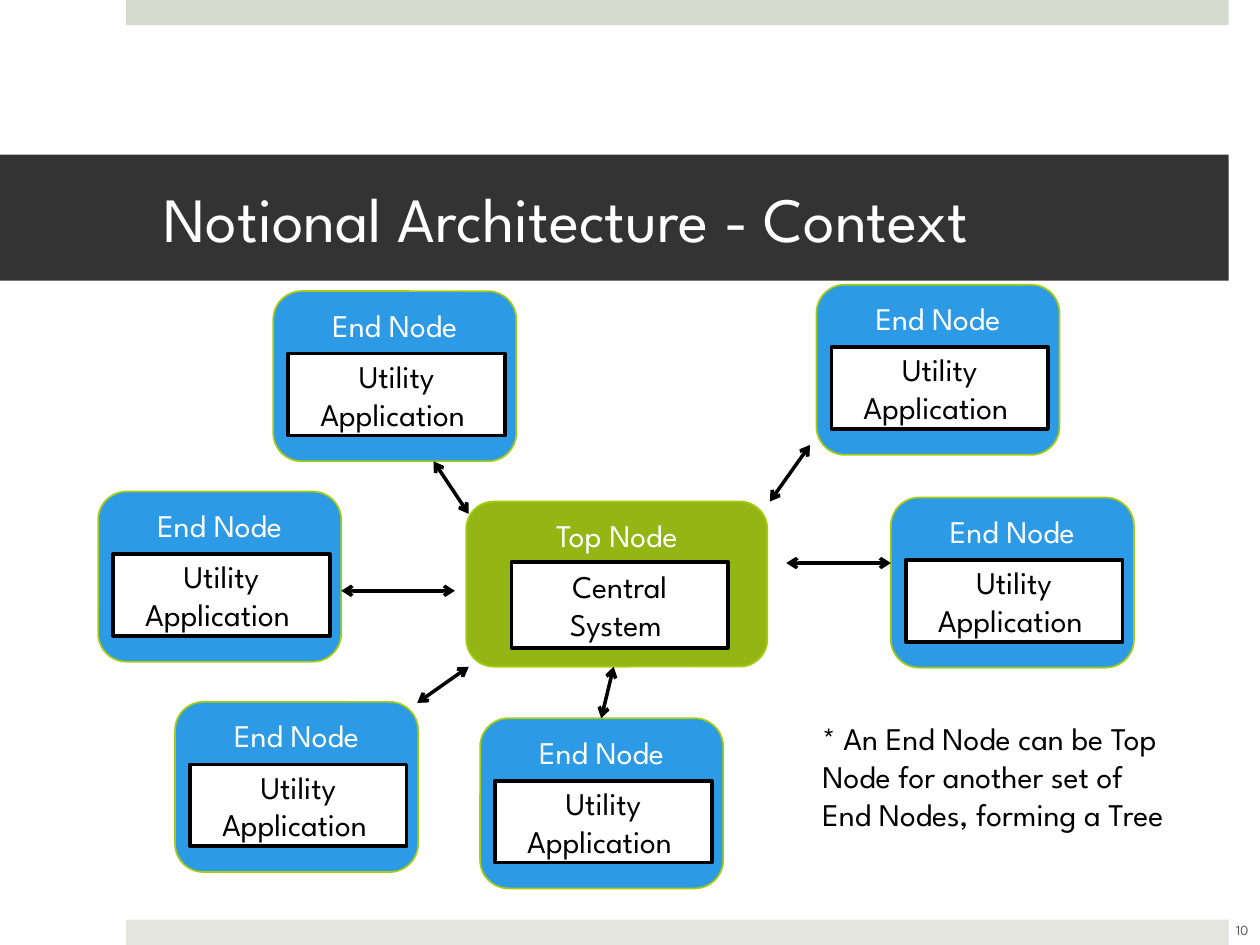
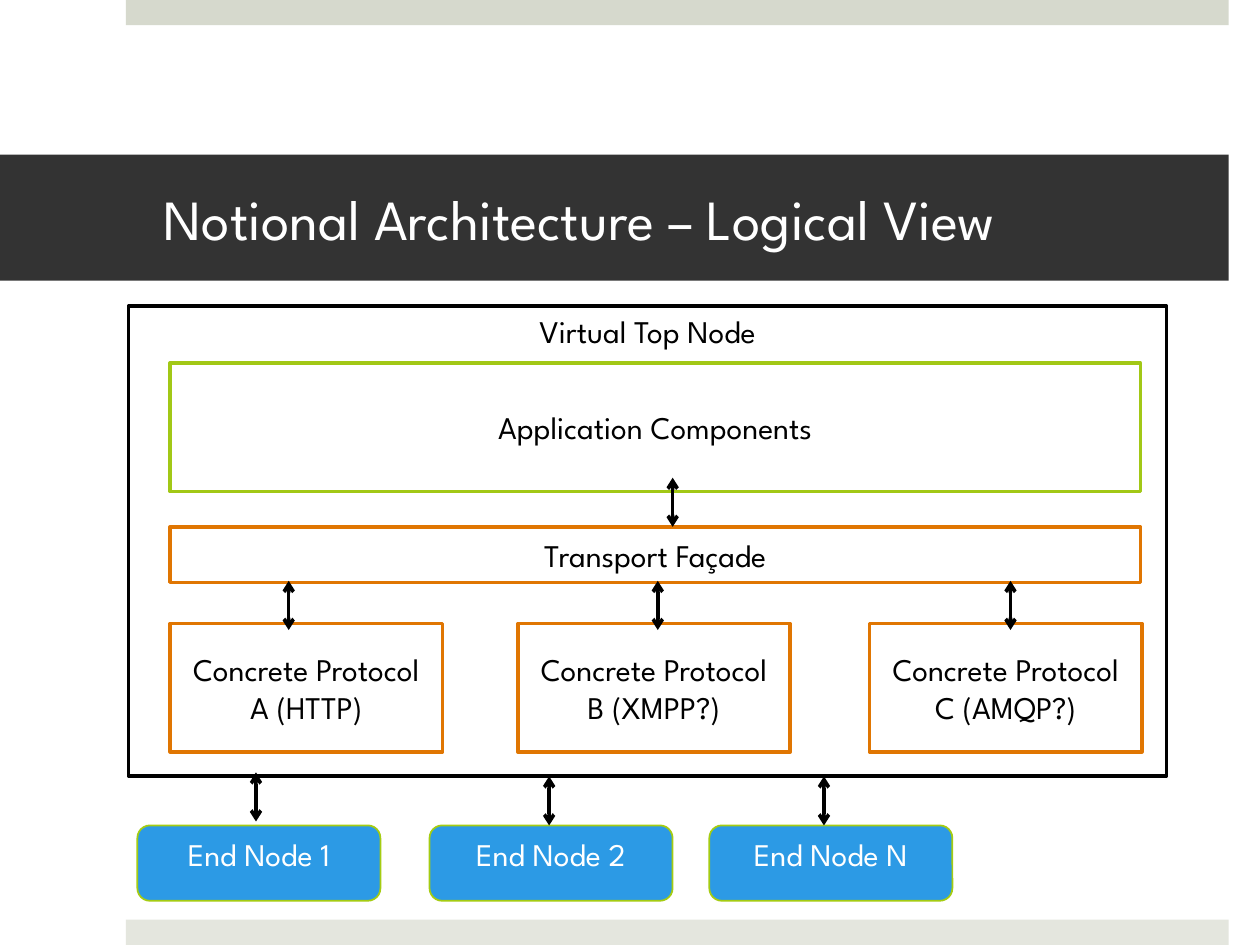
from dataclasses import dataclass

from lxml import etree
from pptx import Presentation
from pptx import util as u
from pptx.dml.color import RGBColor
from pptx.enum import shapes, text
from pptx.oxml import ns

RECT = shapes.MSO_SHAPE.RECTANGLE
ROUND = shapes.MSO_SHAPE.ROUNDED_RECTANGLE
TOP, MIDDLE = text.MSO_ANCHOR.TOP, text.MSO_ANCHOR.MIDDLE
LEFT, CENTER = text.PP_ALIGN.LEFT, text.PP_ALIGN.CENTER


@dataclass(frozen=True)
class Theme:
    font: str = "League Spartan"
    white: str = "FFFFFF"
    black: str = "000000"
    title_band: str = "333333"
    top_band: str = "D6D9CD"
    bottom_band: str = "E4E6DE"
    number: str = "595959"
    blue: str = "2C9AE5"
    green: str = "93B614"
    node_edge: str = "A5CC12"
    app_edge: str = "A2C816"
    transport_edge: str = "E07602"
    body_size: float = 18
    number_size: float = 8
    thin: float = 1
    thick: float = 2


T = Theme()
NODE_W, NODE_H = 4.9, 3.43
INNER_W, INNER_H = 4.37, 1.65


def cm(*lengths):
    return [u.Cm(n) for n in lengths]


def write(sp, lines, color, size=T.body_size, align=CENTER, **frame):
    """Put one paragraph per line into a shape; frame holds text frame settings."""
    tf = sp.text_frame
    for name, value in {"word_wrap": True, **frame}.items():
        setattr(tf, name, value)
    for i, line in enumerate(lines.split("\n")):
        p = tf.paragraphs[0] if i == 0 else tf.add_paragraph()
        p.alignment = align
        r = p.add_run()
        r.text = line
        for name, value in {"name": T.font, "size": u.Pt(size)}.items():
            setattr(r.font, name, value)
        r.font.color.rgb = RGBColor.from_string(color)


def add_block(slide, kind, at, fill, edge=None, weight=T.thick):
    sp = slide.shapes.add_shape(kind, *cm(*at))
    sp.shadow.inherit = False
    sp.fill.solid()
    sp.fill.fore_color.rgb = RGBColor.from_string(fill)
    if edge:
        sp.line.color.rgb = RGBColor.from_string(edge)
        sp.line.width = u.Pt(weight)
    else:
        sp.line.fill.background()
    return sp


def add_box(slide, at, label, edge=T.black, anchor=MIDDLE):
    """White rectangle with black text."""
    sp = add_block(slide, RECT, at, T.white, edge)
    write(sp, label, T.black, vertical_anchor=anchor)


def add_node(slide, at, label, fill=T.blue):
    sp = add_block(slide, ROUND, at, fill, T.node_edge, T.thin)
    write(sp, label, T.white, vertical_anchor=TOP)


def add_end_node(slide, x, y):
    """End node with its utility application inside."""
    add_node(slide, (x, y, NODE_W, NODE_H), "End Node")
    add_box(slide, (x + 0.3, y + 1.26, INNER_W, INNER_H), "Utility Application ")


def add_arrow(slide, x1, y1, x2, y2):
    """Line with an arrowhead at both ends."""
    cx = slide.shapes.add_connector(shapes.MSO_CONNECTOR.STRAIGHT, *cm(x1, y1, x2, y2))
    cx.line.color.rgb = RGBColor.from_string(T.black)
    cx.line.width = u.Pt(T.thick)
    ln = cx.line._get_or_add_ln()
    for end in ("a:headEnd", "a:tailEnd"):
        etree.SubElement(ln, ns.qn(end), type="arrow")
    etree.SubElement(cx._element.spPr, ns.qn("a:effectLst"))


def add_text(slide, at, lines, color, **style):
    write(slide.shapes.add_textbox(*cm(*at)), lines, color, **style)


def add_slide(prs, title, title_size):
    """Blank slide with the shared bands and title."""
    slide = prs.slides.add_slide(prs.slide_layouts[6])
    for y, fill in ((0, T.top_band), (18.54, T.bottom_band)):
        add_block(slide, RECT, (2.54, y, 22.23, 0.51), fill)
    band = add_block(slide, RECT, (0, 3.12, 24.77, 2.54), T.title_band)
    write(band, title, T.white, title_size, LEFT, vertical_anchor=MIDDLE,
          margin_left=u.Cm(3.3), margin_right=u.Cm(0.76))
    return slide


def build_context(prs):
    slide = add_slide(prs, "Notional Architecture - Context", 36)
    add_text(slide, (24.69, 18.24, 0.71, 1.02), "10", T.number, size=T.number_size,
             vertical_anchor=MIDDLE, margin_left=0, margin_right=0)

    add_node(slide, (9.4, 10.11, 6.07, 3.33), "Top Node", T.green)
    add_box(slide, (10.31, 11.33, INNER_W, 1.73), "Central System ")
    for x, y in ((5.51, 5.87), (16.46, 5.74), (17.96, 10.03),
                 (9.68, 14.48), (3.53, 14.15), (1.98, 9.91)):
        add_end_node(slide, x, y)

    for ends in ((8.74, 9.3, 9.45, 10.36), (8.41, 14.17, 9.45, 13.44),
                 (12.37, 13.44, 12.12, 14.48), (15.85, 11.35, 17.96, 11.35),
                 (6.88, 11.91, 9.17, 11.91), (16.33, 8.97, 15.52, 10.11)):
        add_arrow(slide, *ends)

    add_text(slide, (16.33, 14.38, 8.84, 2.57),
             "* An End Node can be Top\nNode for another set of\nEnd Nodes, forming a Tree",
             T.black, align=LEFT, word_wrap=False)


def build_logical_view(prs):
    slide = add_slide(prs, "Notional Architecture – Logical View", 32.4)
    add_box(slide, (2.59, 6.17, 20.93, 9.47), "Virtual Top Node", anchor=TOP)
    layer_x, layer_w = 3.43, 19.56
    add_box(slide, (layer_x, 7.32, layer_w, 2.59), "Application Components", T.app_edge)
    add_box(slide, (layer_x, 10.62, layer_w, 1.12), "Transport Façade", T.transport_edge)

    for x, name in ((layer_x, "A (HTTP)"), (10.44, "B (XMPP?)"), (17.53, "C (AMQP?)")):
        add_box(slide, (x, 12.57, 5.49, 2.59), f"Concrete Protocol {name}", T.transport_edge)
    for x, name in ((2.77, "1"), (8.66, "2"), (14.3, "N")):
        add_node(slide, (x, 16.64, NODE_W, 1.52), f"End Node {name}")

    arrow_length = 0.99
    for x, y in ((13.56, 9.63), (5.82, 11.71), (13.26, 11.71), (20.37, 11.71),
                 (5.16, 15.57), (11.07, 15.65), (16.61, 15.65)):
        add_arrow(slide, x, y, x, y + arrow_length)


def main():
    prs = Presentation()
    prs.slide_width, prs.slide_height = cm(25.4, 19.05)
    build_context(prs)
    build_logical_view(prs)
    prs.save("out.pptx")


if __name__ == "__main__":
    main()
